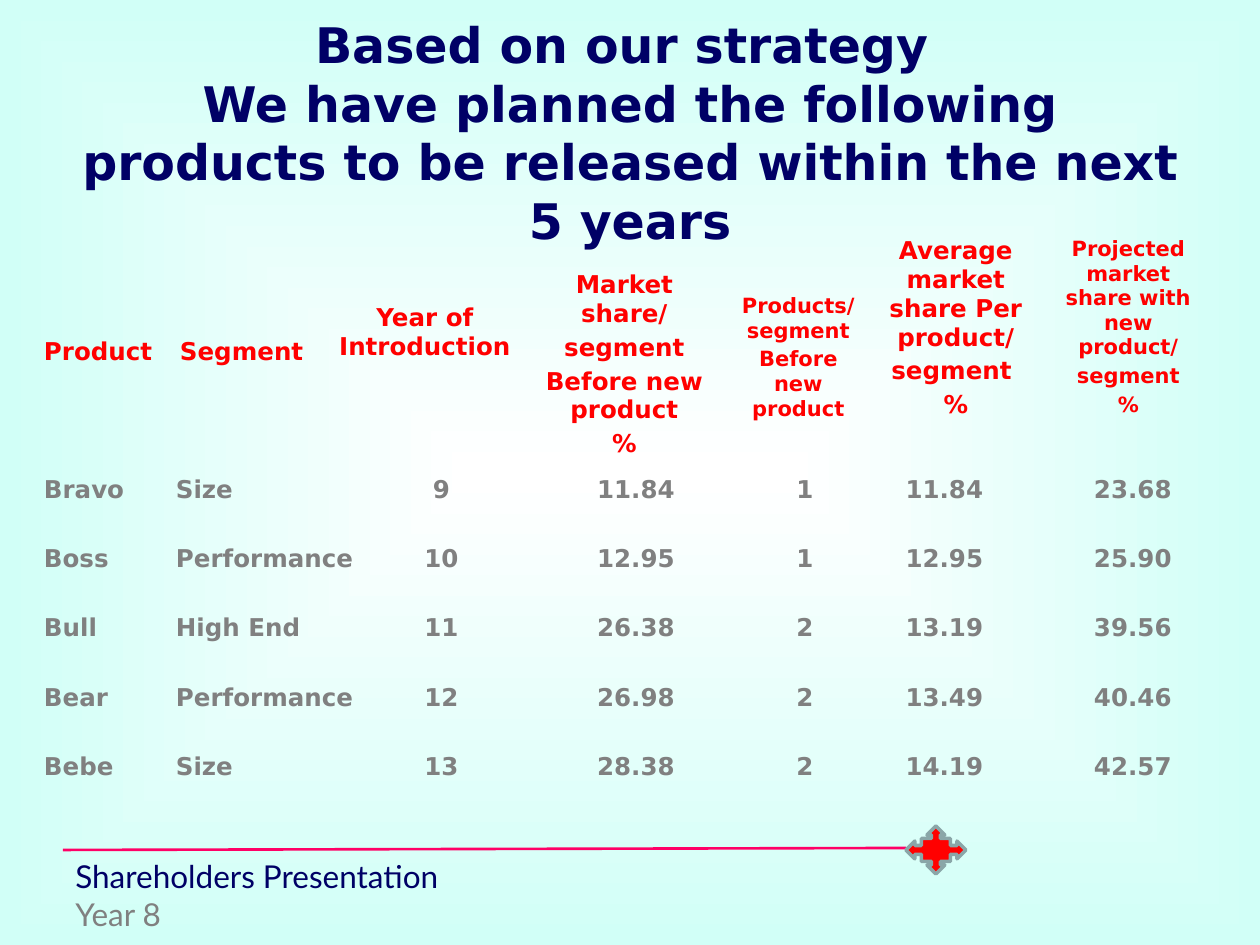
from lxml.etree import SubElement
from pptx import Presentation
from pptx.dml.color import RGBColor
from pptx.enum.shapes import MSO_CONNECTOR, MSO_SHAPE
from pptx.enum.text import MSO_ANCHOR, MSO_AUTO_SIZE, PP_ALIGN
from pptx.oxml.ns import qn
from pptx.util import Emu, Pt

PX = 914400 // 126
NAVY = RGBColor(0x00, 0x00, 0x66)
RED = RGBColor(0xFF, 0x00, 0x00)
GREY = RGBColor(0x80, 0x80, 0x80)
PINK = RGBColor(0xFF, 0x00, 0x66)
STEEL = RGBColor(0x8A, 0xA6, 0xA8)
WHITE = RGBColor(0xFF, 0xFF, 0xFF)
AQUA = RGBColor(0xD1, 0xFF, 0xF7)
NO_STYLE = "{2D5ABB26-0587-4C30-8999-92F81FD0307C}"

TITLE = ("Based on our strategy \vWe have planned the following "
         "products to be released within the next 5 years")
TITLE_FONT = {"name": "DejaVu Sans", "size": Pt(28), "bold": True}
TABLE_FONT = {"name": "DejaVu Sans", "size": Pt(14), "bold": True}
FOOTER_FONT = {"name": "Lato", "size": Pt(18), "bold": False}

# paragraphs, text size, distance of the text from the top of the cell
HEADINGS = [
    (["Product"], 14, 107),
    (["Segment"], 14, 107),
    (["Year of Introduction"], 14, 73),
    (["Market share/", "segment", "Before new product", "%"], 14, 40),
    (["Products/segment", "Before new product"], 12, 63),
    (["Average market share Per product/", "segment ", "%"], 14, 6),
    (["Projected market share with new product/", "segment", "%"], 12, 6),
]
HEADING_WIDTHS = [136, 157, 200, 199, 149, 166, 179]
PRODUCTS = [
    ["Bravo", "Size", "9", "11.84", "1", "11.84", "23.68"],
    ["Boss", "Performance", "10", "12.95", "1", "12.95", "25.90"],
    ["Bull", "High End", "11", "26.38", "2", "13.19", "39.56"],
    ["Bear", "Performance", "12", "26.98", "2", "13.49", "40.46"],
    ["Bebe", "Size", "13", "28.38", "2", "14.19", "42.57"],
]
PRODUCT_WIDTHS = [132, 204, 147, 242, 96, 183, 194]
TEXT_COLUMNS = 2


def px(*lengths):
    return [Emu(length * PX) for length in lengths]


def set_font(font, values, color):
    for name, value in values.items():
        setattr(font, name, value)
    font.color.rgb = color


def paint_background(slide):
    fill = slide.background.fill
    fill.gradient()
    for stop, color, position in zip(fill.gradient_stops, (WHITE, AQUA), (0, 1)):
        stop.color.rgb = color
        stop.position = position
    gradient = slide.background._cSld.find(".//" + qn("a:gradFill"))
    gradient.remove(gradient.find(qn("a:lin")))
    shape_path = SubElement(gradient, qn("a:path"), {"path": "shape"})
    SubElement(shape_path, qn("a:fillToRect"), dict.fromkeys("ltrb", "50000"))


def add_footer_rule(slide):
    rule = slide.shapes.add_connector(MSO_CONNECTOR.STRAIGHT, *px(63, 850, 906, 848))
    rule.line.color.rgb = PINK
    rule.line.width = Pt(1.5)
    SubElement(rule._element.spPr, qn("a:effectLst"))

    ornament = slide.shapes.add_shape(MSO_SHAPE.QUAD_ARROW_CALLOUT, *px(906, 826, 60, 48))
    ornament.shadow.inherit = False
    ornament.fill.solid()
    ornament.fill.fore_color.rgb = RED
    ornament.line.color.rgb = STEEL
    ornament.line.width = Pt(2)


def add_title(slide):
    title = slide.shapes.title
    title.left, title.top, title.width, title.height = px(63, 53, 1134, 158)
    frame = title.text_frame
    frame.auto_size = MSO_AUTO_SIZE.NONE
    frame.vertical_anchor = MSO_ANCHOR.MIDDLE
    frame.text = TITLE
    frame.paragraphs[0].alignment = PP_ALIGN.CENTER
    for run in frame.paragraphs[0].runs:
        set_font(run.font, TITLE_FONT, NAVY)


def add_plain_table(slide, top, height, row_count, widths):
    """Add a table without grid or banding, with rows of equal height."""
    frame = slide.shapes.add_table(row_count, len(widths),
                                   *px(32, top, sum(widths), height))
    table = frame.table
    table.first_row = table.horz_banding = False
    table._tbl.tblPr.find(qn("a:tableStyleId")).text = NO_STYLE
    for column, width in zip(table.columns, px(*widths)):
        column.width = width
    return table


def fill_cell(cell, lines, column, size, color):
    cell.fill.background()
    cell.margin_left, cell.margin_right = px(12, 12)
    cell.text = "\n".join(lines)
    for index, paragraph in enumerate(cell.text_frame.paragraphs):
        paragraph.alignment = PP_ALIGN.LEFT if column < TEXT_COLUMNS else PP_ALIGN.CENTER
        paragraph.space_before = Pt(size * 0.2 if index else 0)
        set_font(paragraph.runs[0].font, TABLE_FONT | {"size": Pt(size)}, color)


def add_headings(slide):
    table = add_plain_table(slide, 231, 262, 1, HEADING_WIDTHS)
    for column, (lines, size, margin) in enumerate(HEADINGS):
        cell = table.cell(0, column)
        fill_cell(cell, lines, column, size, RED)
        cell.margin_top, = px(margin)


def add_products(slide):
    table = add_plain_table(slide, 441, 347, len(PRODUCTS), PRODUCT_WIDTHS)
    for row, product in enumerate(PRODUCTS):
        for column, value in enumerate(product):
            cell = table.cell(row, column)
            fill_cell(cell, [value], column, 14, GREY)
            cell.vertical_anchor = MSO_ANCHOR.BOTTOM


def add_footer(slide):
    frame = slide.shapes.add_textbox(*px(63, 851, 945, 53)).text_frame
    frame.word_wrap = True
    frame.text = "Shareholders Presentation\nYear 8"
    for paragraph, color in zip(frame.paragraphs, (NAVY, GREY)):
        set_font(paragraph.runs[0].font, FOOTER_FONT, color)


def main():
    deck = Presentation()
    deck.slide_width, deck.slide_height = px(1260, 945)
    slide = deck.slides.add_slide(deck.slide_layouts[5])
    paint_background(slide)
    add_footer_rule(slide)
    add_title(slide)
    add_headings(slide)
    add_products(slide)
    add_footer(slide)
    deck.save("out.pptx")


if __name__ == "__main__":
    main()
